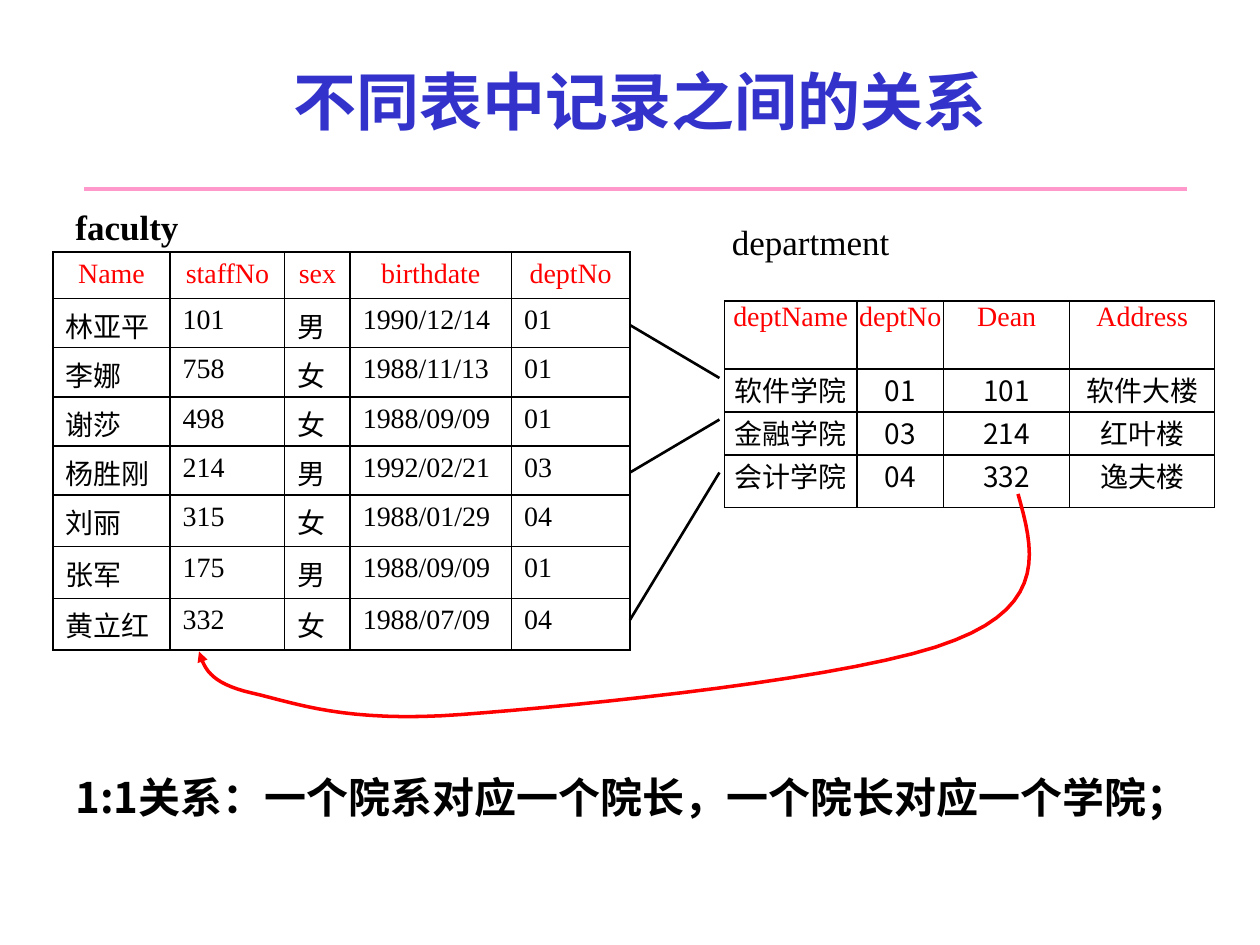
from lxml import etree
from pptx import Presentation
from pptx import util as u
from pptx.dml.color import RGBColor
from pptx.enum import shapes, text
from pptx.oxml.ns import qn

In = u.Inches
COLORS = {"title": "3333CC", "rule": "FF99CC", "ink": "000000", "red": "FF0000"}
SANS, SERIF = "Noto Sans CJK SC", "Times New Roman"
LEFT, MID = text.PP_ALIGN.LEFT, text.PP_ALIGN.CENTER

STAFF = [
    ["Name", "staffNo", "sex", "birthdate", "deptNo"],
    ["林亚平", "101", "男", "1990/12/14", "01"],
    ["李娜", "758", "女", "1988/11/13", "01"],
    ["谢莎", "498", "女", "1988/09/09", "01"],
    ["杨胜刚", "214", "男", "1992/02/21", "03"],
    ["刘丽", "315", "女", "1988/01/29", "04"],
    ["张军", "175", "男", "1988/09/09", "01"],
    ["黄立红", "332", "女", "1988/07/09", "04"],
]
DEPTS = [
    ["deptName", "deptNo", "Dean", "Address"],
    ["软件学院", "01", "101", "软件大楼"],
    ["金融学院", "03", "214", "红叶楼"],
    ["会计学院", "04", "332", "逸夫楼"],
]


def color(key):
    return RGBColor.from_string(COLORS[key])


def add_run(para, words, size, font, key, bold=False):
    run = para.add_run()
    run.text = words
    run.font.size, run.font.bold = u.Pt(size), bold
    run.font.name = font
    run.font.color.rgb = color(key)
    east = etree.SubElement(run._r.get_or_add_rPr(), qn("a:ea"))
    east.set("typeface", SANS)


def lead(para):
    """Space of a tenth of a line before the paragraph."""
    para.space_before = u.Pt(0)
    gap = para._p.pPr.find(qn("a:spcBef"))
    gap.remove(gap[0])
    etree.SubElement(gap, qn("a:spcPct")).set("val", "10000")


def add_text(slide, box, words, size, font, key, bold=False, align=LEFT,
             anchor=text.MSO_ANCHOR.TOP, wrap=True):
    frame = slide.shapes.add_textbox(*map(In, box)).text_frame
    frame.word_wrap = wrap
    frame.vertical_anchor = anchor
    para = frame.paragraphs[0]
    para.alignment = align
    add_run(para, words, size, font, key, bold)
    return para


def add_border(cell):
    props = cell._tc.get_or_add_tcPr()
    for side in "LRTB":
        edge = etree.SubElement(props, qn("a:ln" + side), w=str(u.Pt(1)))
        fill = etree.SubElement(edge, qn("a:solidFill"))
        etree.SubElement(fill, qn("a:srgbClr"), val=COLORS["ink"])


def add_grid(slide, left, top, cols, rows, data, font, align, pad):
    """Table with red serif heads; pad is the side and top inset."""
    grid = slide.shapes.add_table(len(rows), len(cols), In(left), In(top),
                                  In(sum(cols)), In(sum(rows))).table
    grid.first_row = grid.horz_banding = False
    for col, width in zip(grid.columns, cols):
        col.width = In(width)
    for row, high in zip(grid.rows, rows):
        row.height = In(high)
    for r, line in enumerate(data):
        for c, words in enumerate(line):
            cell = grid.cell(r, c)
            cell.margin_left = cell.margin_right = In(pad[0])
            cell.margin_top = cell.margin_bottom = In(pad[1])
            add_border(cell)
            cell.fill.background()
            para = cell.text_frame.paragraphs[0]
            para.alignment = align if r else MID
            lead(para)
            if r:
                add_run(para, words, 16, font, "ink")
            else:
                add_run(para, words, 16, SERIF, "red")


def add_line(slide, start, end, key, width):
    line = slide.shapes.add_connector(shapes.MSO_CONNECTOR.STRAIGHT,
                                      *map(In, start + end))
    line.line.color.rgb = color(key)
    line.line.width = u.Pt(width)
    etree.SubElement(line._element.spPr, qn("a:effectLst"))


def trace(start, curves, steps=16):
    """Points along a chain of cubic curves."""
    points = [start]
    for a, b, end in curves:
        for n in range(1, steps + 1):
            t = n / steps
            s = 1 - t
            points.append(tuple(
                s**3 * p + 3 * s * s * t * q + 3 * s * t * t * v + t**3 * w
                for p, q, v, w in zip(start, a, b, end)))
        start = end
    return points


def add_curve(slide, points, key, width):
    pen = slide.shapes.build_freeform(*map(In, points[0]))
    pen.add_line_segments([(In(x), In(y)) for x, y in points[1:]], close=False)
    curve = pen.convert_to_shape()
    curve.shadow.inherit = False
    curve.fill.background()
    curve.line.color.rgb = color(key)
    curve.line.width = u.Pt(width)
    etree.SubElement(curve.line._get_or_add_ln(), qn("a:tailEnd"),
                     type="triangle")


def main():
    deck = Presentation()
    deck.slide_width, deck.slide_height = In(10), In(7.5)
    slide = deck.slides.add_slide(deck.slide_layouts[6])
    middle = text.MSO_ANCHOR.MIDDLE

    # Title and rule
    add_line(slide, (0.67, 1.5), (9.42, 1.5), "rule", 2)
    add_text(slide, (0.83, 0.17, 8.5, 1.25), "不同表中记录之间的关系", 36, SANS,
             "title", bold=True, align=MID, anchor=middle)

    # Statement of the relation
    para = add_text(slide, (0.5, 5.99, 9.07, 0.72),
                    "1:1关系：一个院系对应一个院长，一个院长对应一个学院；",
                    24, SANS, "ink", bold=True)
    para.line_spacing = 1.2
    lead(para)
    props = para._p.get_or_add_pPr()
    props.set("marL", str(In(0.68)))
    props.set("indent", str(In(-0.68)))

    # Tables and their names
    add_grid(slide, 0.42, 2, [0.93, 0.91, 0.52, 1.28, 0.94],
             [0.37] + [0.39] * 4 + [0.41] * 3, STAFF, SERIF, LEFT, (0.1, 0.05))
    add_grid(slide, 5.75, 2.39, [1.05, 0.69, 1, 1.15],
             [0.54, 0.34, 0.34, 0.42], DEPTS, SANS, MID, (0, 0))
    add_text(slide, (5.71, 1.7, 2.5, 0.43), "department", 20, SERIF, "ink",
             anchor=middle)
    add_text(slide, (0.5, 1.58, 1.02, 0.43), "faculty", 20, SERIF, "ink",
             bold=True, wrap=False)

    # Links from staff rows to departments
    for y, end in ((2.58, 3), (3.75, 3.33), (4.92, 3.75)):
        add_line(slide, (5, y), (5.71, end), "ink", 1.5)

    # Arrow from the dean back to the staff number
    add_curve(slide, trace((8.08, 3.92), [
        ((8.2, 4.35), (8.32, 4.79), (7.58, 5.08)),
        ((6.85, 5.38), (4.6, 5.6), (3.67, 5.67)),
        ((2.74, 5.74), (2.35, 5.58), (2, 5.5)),
        ((1.65, 5.42), (1.62, 5.29), (1.58, 5.17)),
    ]), "red", 2)

    deck.save("out.pptx")


if __name__ == "__main__":
    main()
